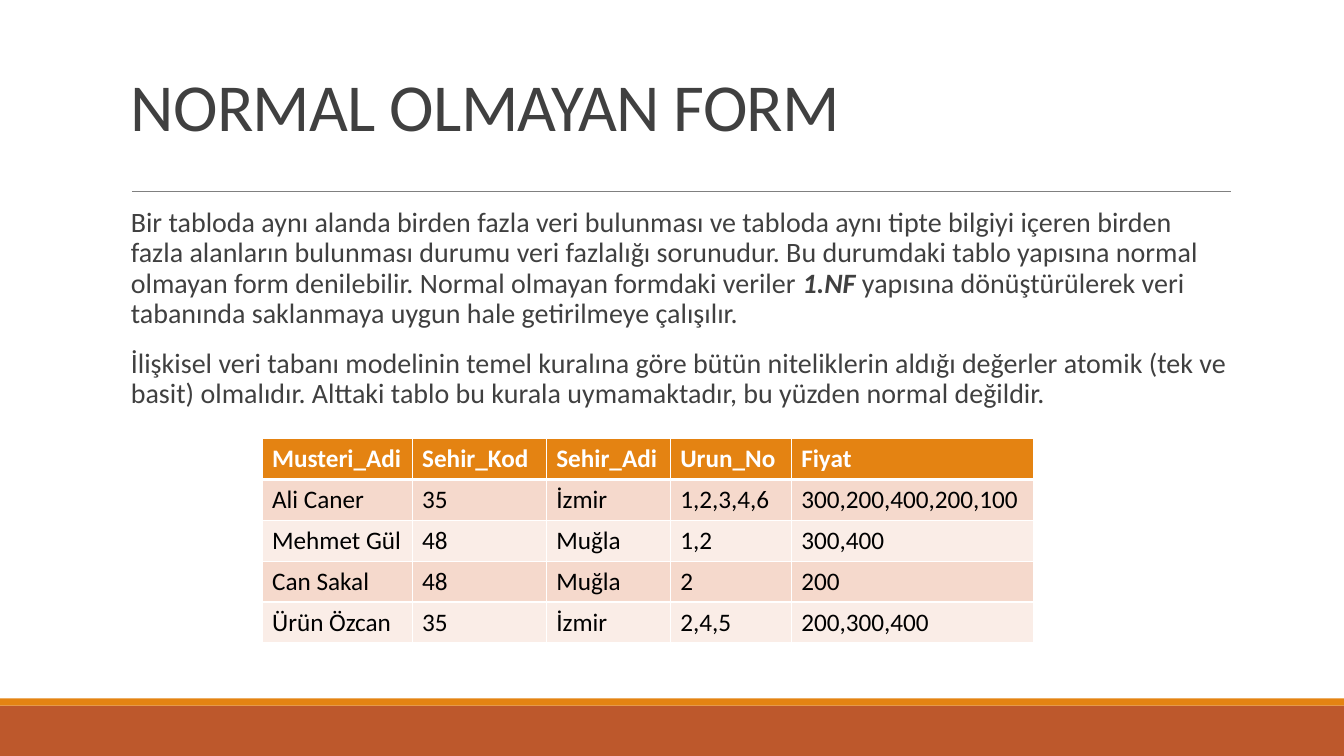
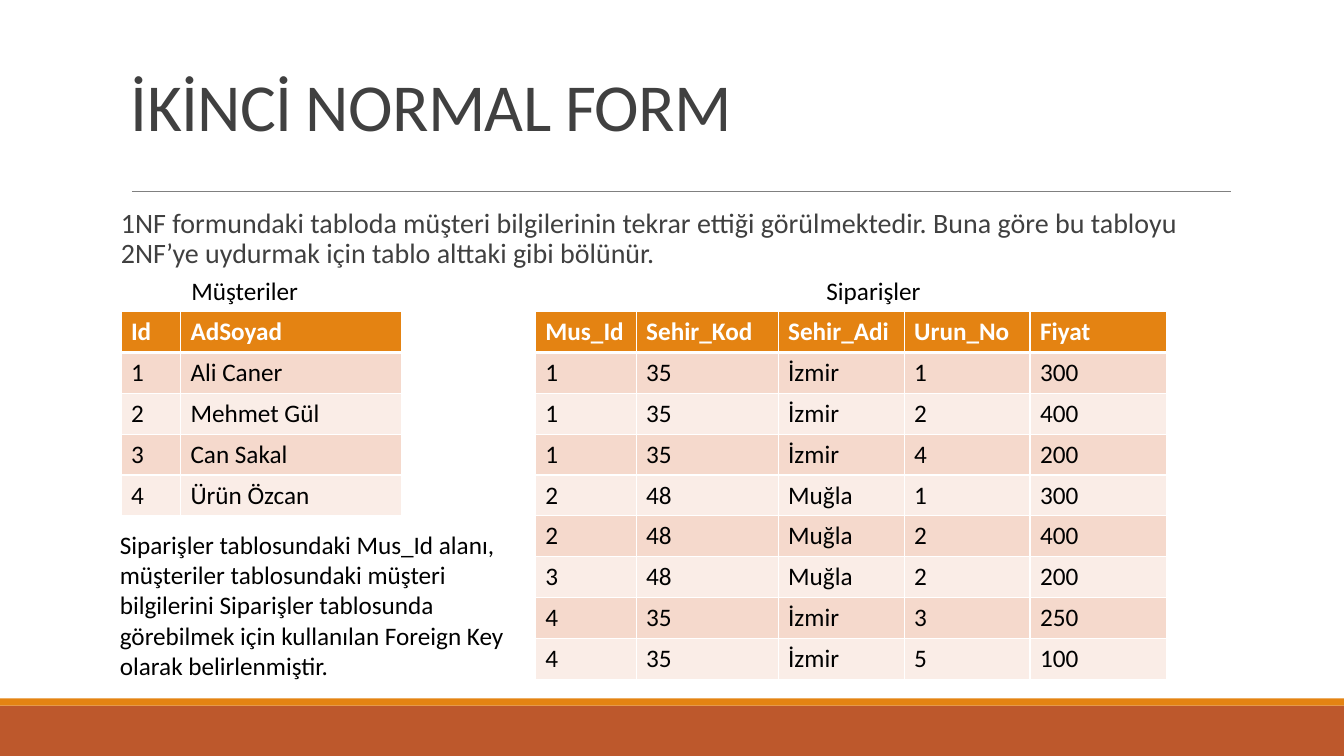
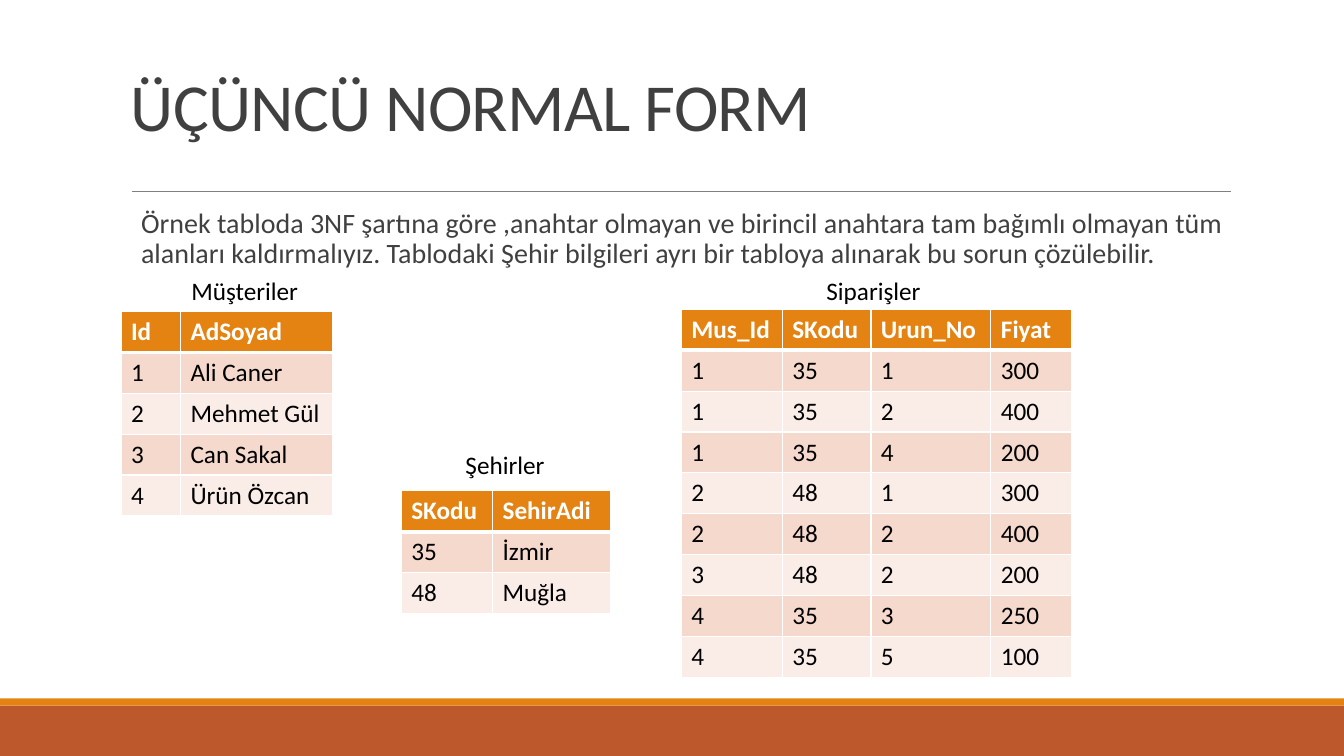
from lxml import etree
from pptx import Presentation
from pptx.dml.color import RGBColor
from pptx.enum.shapes import MSO_CONNECTOR, MSO_SHAPE
from pptx.enum.text import MSO_ANCHOR, MSO_AUTO_SIZE
from pptx.oxml.ns import qn
from pptx.util import Pt

COLORS = {
    "band": "BD582C",
    "accent": "E48312",
    "rule": "808080",
    "heading": "404040",
    "text": "000000",
    "white": "FFFFFF",
    "odd_row": "F5D9CC",
    "even_row": "FAEDE7",
}
FONT = "Calibri"
SLIDE_W, SLIDE_H = 960, 540
ROW_H = 29.2
LEFT, CONTENT_W = 86.4, 792
TABLE_TOP, LABEL_TOP = 222.5, 193

BODY_FORMAT = {"line_spacing": 0.9, "space_before": Pt(12), "space_after": Pt(2)}

CITIES = {"35": "İzmir", "48": "Muğla"}
CUSTOMERS = [
    ("Id", "AdSoyad"),
    ("1", "Ali Caner"),
    ("2", "Mehmet Gül"),
    ("3", "Can Sakal"),
    ("4", "Ürün Özcan"),
]
ORDERS = [
    ("1", "35", "1", "300"),
    ("1", "35", "2", "400"),
    ("1", "35", "4", "200"),
    ("2", "48", "1", "300"),
    ("2", "48", "2", "400"),
    ("3", "48", "2", "200"),
    ("4", "35", "3", "250"),
    ("4", "35", "5", "100"),
]
UNNORMALIZED = [
    ("Musteri_Adi", "Sehir_Kod", "Sehir_Adi", "Urun_No", "Fiyat"),
    ("Ali Caner", "35", "İzmir", "1,2,3,4,6", "300,200,400,200,100"),
    ("Mehmet Gül", "48", "Muğla", "1,2", "300,400"),
    ("Can Sakal", "48", "Muğla", "2", "200"),
    ("Ürün Özcan", "35", "İzmir", "2,4,5", "200,300,400"),
]


def rgb(name):
    return RGBColor.from_string(COLORS[name])


def set_all(obj, values):
    for name, value in values.items():
        setattr(obj, name, value)


def add_run(p, text, size, color, **fmt):
    r = p.add_run()
    r.text = text
    set_all(r.font, {"name": FONT, "size": Pt(size), **fmt})
    r.font.color.rgb = rgb(color)
    return r


def add_box(s, x, y, w, h, **fmt):
    tf = s.shapes.add_textbox(Pt(x), Pt(y), Pt(w), Pt(h)).text_frame
    set_all(tf, {"word_wrap": True, **fmt})
    return tf


def add_band(s, y, h, color):
    sp = s.shapes.add_shape(MSO_SHAPE.RECTANGLE, 0, Pt(y), Pt(SLIDE_W), Pt(h))
    sp.shadow.inherit = False
    sp.fill.solid()
    sp.fill.fore_color.rgb = rgb(color)
    sp.line.fill.background()


def add_rule(s):
    line = s.shapes.add_connector(
        MSO_CONNECTOR.STRAIGHT, Pt(94.3), Pt(136.8), Pt(879), Pt(136.8))
    line.line.color.rgb = rgb("rule")
    line.line.width = Pt(0.5)
    etree.SubElement(line._element.spPr, qn("a:effectLst"))


def add_title(s, text):
    tf = add_box(s, LEFT, 22.3, CONTENT_W, 114.5, vertical_anchor=MSO_ANCHOR.MIDDLE)
    p = tf.paragraphs[0]
    p.line_spacing = 0.85
    r = add_run(p, text, 48, "heading")
    r.font._element.set("spc", "-50")


def add_body(s, paragraphs, indent=0, y=146):
    tf = add_box(s, LEFT, y, CONTENT_W, 335.5, margin_left=Pt(indent), margin_right=0)
    for i, runs in enumerate(paragraphs):
        p = tf.add_paragraph() if i else tf.paragraphs[0]
        set_all(p, BODY_FORMAT)
        for text, emphasis in runs:
            add_run(p, text, 20, "heading", bold=emphasis, italic=emphasis)


def add_text(s, text, x, y, w, h, wrap):
    tf = add_box(s, x, y, w, h, word_wrap=wrap, auto_size=MSO_AUTO_SIZE.SHAPE_TO_FIT_TEXT)
    add_run(tf.paragraphs[0], text, 18, "text")


def add_label(s, text, x, w, y=LABEL_TOP):
    add_text(s, text, x, y, w, 29, False)


def add_borders(cell, widths):
    tc_pr = cell._tc.get_or_add_tcPr()
    for side, width in widths.items():
        ln = etree.SubElement(tc_pr, qn(f"a:ln{side}"), w=str(Pt(width)))
        fill = etree.SubElement(ln, qn("a:solidFill"))
        etree.SubElement(fill, qn("a:srgbClr"), val=COLORS["white"])


def add_grid(s, rows, x, y, widths):
    tbl = s.shapes.add_table(
        len(rows), len(widths), Pt(x), Pt(y), Pt(sum(widths)), Pt(ROW_H * len(rows))).table
    set_all(tbl, {"first_row": True, "horz_banding": False})
    for col, width in zip(tbl.columns, widths):
        col.width = Pt(width)
    for i, values in enumerate(rows):
        tbl.rows[i].height = Pt(ROW_H)
        header = i == 0
        fill = "accent" if header else "odd_row" if i % 2 else "even_row"
        borders = {"L": 1, "R": 1, "T": 3 if i == 1 else 1, "B": 3 if header else 1}
        for j, value in enumerate(values):
            cell = tbl.cell(i, j)
            add_borders(cell, borders)
            cell.fill.solid()
            cell.fill.fore_color.rgb = rgb(fill)
            add_run(cell.text_frame.paragraphs[0], value, 18,
                    "white" if header else "text", bold=header)


def add_slide(prs, title):
    s = prs.slides.add_slide(prs.slide_layouts[6])
    add_band(s, 504, 36, "band")
    add_band(s, 498.8, 5.2, "accent")
    add_rule(s)
    add_title(s, title)
    return s


def add_customers(s, name_width):
    add_label(s, "Müşteriler", 129.6, 91.4)
    add_grid(s, CUSTOMERS, LEFT, TABLE_TOP, [42.5, name_width])


def build_unnormalized(prs):
    s = add_slide(prs, "NORMAL OLMAYAN FORM")
    add_body(s, [
        [("Bir tabloda aynı alanda birden fazla veri bulunması ve tabloda aynı tipte bilgiyi "
          "içeren birden fazla alanların bulunması durumu veri fazlalığı sorunudur. Bu durumdaki "
          "tablo yapısına normal olmayan form denilebilir. Normal olmayan formdaki veriler ", False),
         ("1.NF", True),
         (" yapısına dönüştürülerek veri tabanında saklanmaya uygun hale getirilmeye çalışılır.",
          False)],
        [("İlişkisel veri tabanı modelinin temel kuralına göre bütün niteliklerin aldığı değerler "
          "atomik (tek ve basit) olmalıdır. Alttaki tablo bu kurala uymamaktadır, bu yüzden "
          "normal değildir.", False)],
    ], indent=7.2, y=145.4)
    add_grid(s, UNNORMALIZED, 187.2, 313.2, [107.2, 95.8, 88.6, 86.4, 173.5])


def build_second_form(prs):
    s = add_slide(prs, "İKİNCİ NORMAL FORM")
    add_body(s, [[("1NF formundaki tabloda müşteri bilgilerinin tekrar ettiği görülmektedir. "
                   "Buna göre bu tabloyu 2NF’ye uydurmak için tablo alttaki gibi bölünür.", False)]])
    rows = [("Mus_Id", "Sehir_Kod", "Sehir_Adi", "Urun_No", "Fiyat")]
    rows += [(customer, code, CITIES[code], product, price)
             for customer, code, product, price in ORDERS]
    add_label(s, "Siparişler", 583.2, 82.8)
    add_grid(s, rows, 382.4, TABLE_TOP, [72, 101.4, 90, 90, 97.2])
    add_customers(s, 157.8)
    add_text(s, "Siparişler tablosundaki Mus_Id alanı, müşteriler tablosundaki müşteri bilgilerini "
                "Siparişler tablosunda görebilmek için kullanılan Foreign Key olarak belirlenmiştir.",
             78.5, 374.4, 298, 116.6, True)


def build_third_form(prs):
    s = add_slide(prs, "ÜÇÜNCÜ NORMAL FORM")
    add_body(s, [[("Örnek tabloda 3NF şartına göre ,anahtar olmayan ve birincil anahtara tam bağımlı "
                   "olmayan tüm alanları kaldırmalıyız. Tablodaki Şehir bilgileri ayrı bir tabloya "
                   "alınarak bu sorun çözülebilir.", False)]], indent=14.4)
    add_label(s, "Siparişler", 583.2, 82.8)
    add_grid(s, [("Mus_Id", "SKodu", "Urun_No", "Fiyat")] + ORDERS,
             486.7, 221, [72, 63.4, 85.7, 57.6])
    add_customers(s, 108.7)
    add_label(s, "Şehirler", 325.4, 71.3, 317.5)
    add_grid(s, [("SKodu", "SehirAdi"), *CITIES.items()], 286.6, 350.6, [65.2, 84.2])


def main():
    prs = Presentation()
    set_all(prs, {"slide_width": Pt(SLIDE_W), "slide_height": Pt(SLIDE_H)})
    build_unnormalized(prs)
    build_second_form(prs)
    build_third_form(prs)
    prs.save("out.pptx")


if __name__ == "__main__":
    main()
